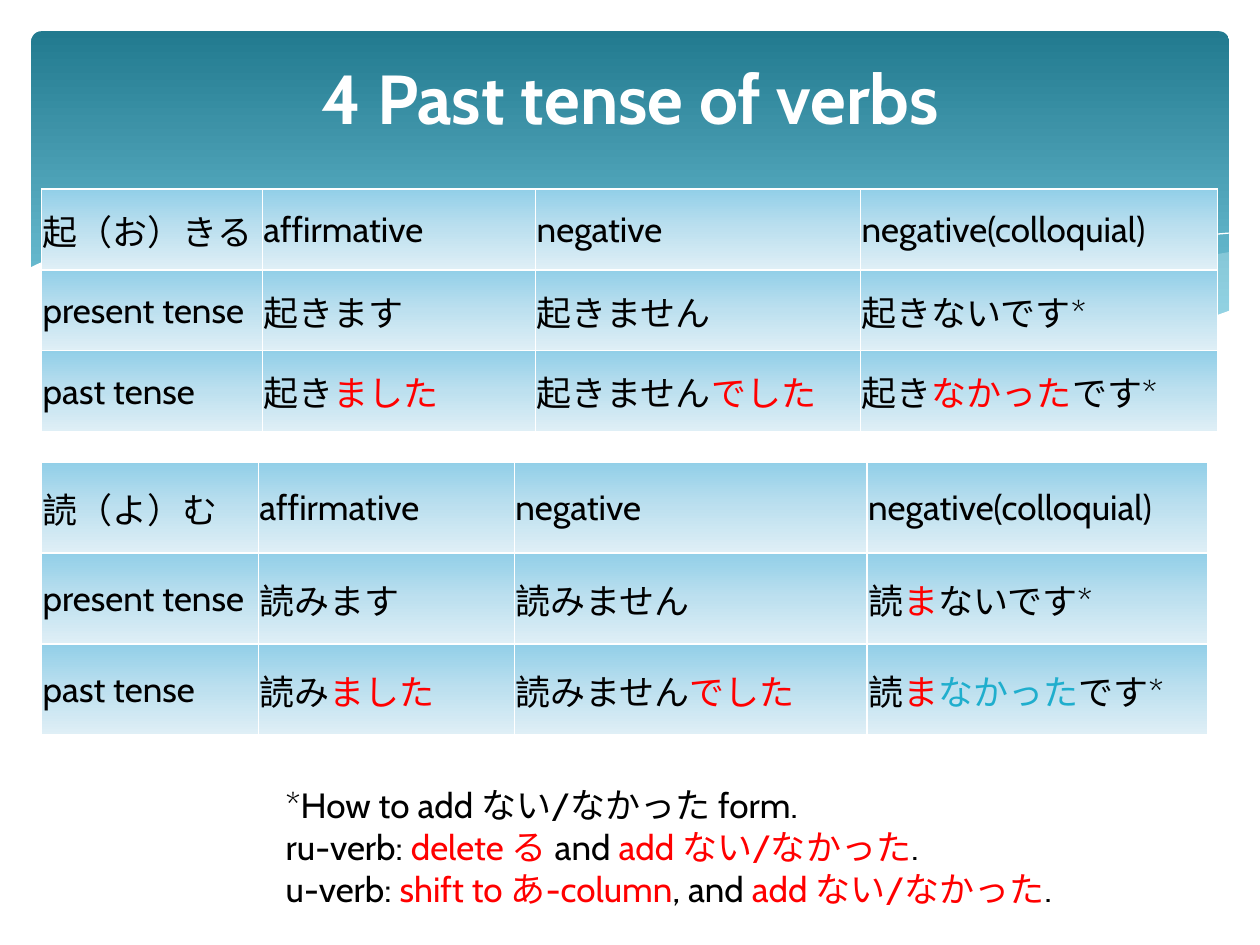
import pptx
import pptx.dml.color
import pptx.enum.shapes
import pptx.enum.text
import pptx.oxml
import pptx.oxml.ns
import pptx.util
from lxml import etree

Cm, Pt = pptx.util.Cm, pptx.util.Pt
qn = pptx.oxml.ns.qn
FONT = "Cabin"
BLACK, WHITE, RED, BLUE, HAZE = "000000", "FFFFFF", "FF0000", "1FAECD", "DEF5FA"
SKY = [(0, "227A8F"), (90, "7ACBE0")]
ICE = [(0, "92CFE8"), (50, "BDE0EF"), (100, "DFEFF6")]

TITLE = "4 Past tense of verbs"
HEADS = ["affirmative", "negative", "negative(colloquial)"]
GRIDS = [
    {"top": 3.81, "row": 1.63, "cols": [4.45, 5.51, 6.55, 7.19], "rows": [
        ["起（お）きる", *HEADS],
        ["present tense", "起きます", "起きません", "起きないです*"],
        ["past tense",
         ["起き", ("ました", RED)],
         ["起きません", ("でした", RED)],
         ["起き", ("なかった", RED), "です*"]]]},
    {"top": 9.32, "row": 1.83, "cols": [4.37, 5.16, 7.11, 6.86], "rows": [
        ["読（よ）む", *HEADS],
        ["present tense", "読みます", "読みません",
         ["読", ("ま", RED), "ないです*"]],
        ["past tense",
         ["読み", ("ました", RED)],
         ["読みません", ("でした", RED)],
         ["読", ("ま", RED), ("なかった", BLUE), "です*"]]]},
]
NOTES = [
    "*How to add ない/なかった form.",
    ["ru-verb: ", ("delete る", RED), " and ", ("add ない/なかった", RED), "."],
    ["u-verb: ", ("shift to あ-column", RED), ", and ",
     ("add ない/なかった", RED), "."],
]

TAIL = [(2479, 508), (2375, 526), (2263, 549), (2113, 584), (1979, 615),
        (1793, 653), (1679, 673), (1791, 688), (1923, 701), (2040, 706),
        (2169, 701), (2278, 686), (2375, 665), (2479, 627)]
SWELL = [(2268, 693), (2126, 673), (1969, 645), (1793, 610), (1598, 564),
         (1445, 528), (1306, 503), (1181, 485), (1067, 475), (965, 470),
         (874, 472), (795, 478), (726, 485), (869, 505), (1026, 536),
         (1140, 564), (1346, 610), (1527, 648), (1689, 676), (1834, 696),
         (1963, 704), (2078, 706), (2177, 704)]
FALL = [(785, 495), (833, 488), (922, 480), (1019, 475), (1143, 478),
        (1295, 488), (1478, 508), (1689, 541), (1847, 574), (2019, 612),
        (2207, 663), (2304, 691)]
RISE = [(1557, 653), (1659, 625), (1829, 582), (1971, 549), (2123, 518),
        (2273, 493), (2383, 478), (2477, 470)]
SHORE = [(2482, 625), (2413, 650), (2337, 673), (2253, 688), (2159, 699),
         (2055, 704), (1933, 699), (1798, 686), (1646, 665), (1471, 635),
         (1278, 592), (1135, 559), (993, 526), (864, 500), (742, 483),
         (635, 472), (536, 467), (409, 467), (302, 475), (216, 490),
         (150, 505), (102, 521), (74, 533), (58, 541), (58, 836), (2482, 836)]
WAVES = [(TAIL, HAZE, 29), (SWELL, HAZE, 40), (FALL, None, 0),
         (RISE, None, 0), (SHORE, WHITE, 100)]


def rgb(code):
    return pptx.dml.color.RGBColor.from_string(code)


def blend(fill, root, stops):
    fill.gradient()
    fill.gradient_angle = 270
    band = root.find(".//" + qn("a:gsLst"))
    for old in list(band):
        band.remove(old)
    for pos, code in stops:
        stop = etree.SubElement(band, qn("a:gs"), pos=str(pos * 1000))
        etree.SubElement(stop, qn("a:srgbClr"), val=code)


def write(para, parts, size=20, code=BLACK, bold=False):
    for part in [parts] if isinstance(parts, str) else parts:
        text, tint = (part, code) if isinstance(part, str) else part
        run = para.add_run()
        run.text = text
        run.font.name = FONT
        run.font.size = Pt(size)
        run.font.bold = bold
        run.font.color.rgb = rgb(tint)


def wave(shapes, dots, code, alpha):
    pen = shapes.build_freeform(*dots[0], scale=Cm(0.01))
    pen.add_line_segments(dots[1:], close=code is not None)
    shape = pen.convert_to_shape()
    shape.shadow.inherit = False
    if code is None:
        shape.fill.background()
        shape.line.color.rgb = rgb(WHITE)
        shape.line.width = Pt(0)
        return
    shape.line.fill.background()
    shape.fill.solid()
    shape.fill.fore_color.rgb = rgb(code)
    if alpha < 100:
        tint = shape.element.spPr.find(".//" + qn("a:srgbClr"))
        etree.SubElement(tint, qn("a:alpha"), val=str(alpha * 1000))


def edge(cell):
    props = cell._tc.get_or_add_tcPr()
    for i, side in enumerate(("lnL", "lnR", "lnT", "lnB")):
        line = etree.Element(qn("a:" + side), w=str(Pt(1)))
        fill = etree.SubElement(line, qn("a:solidFill"))
        etree.SubElement(fill, qn("a:srgbClr"), val=WHITE)
        props.insert(i, line)


def grid(shapes, top, row, cols, rows):
    table = shapes.add_table(len(rows), len(cols), Cm(0.84), Cm(top),
                             Cm(sum(cols)), Cm(row * len(rows))).table
    table.first_row = table.horz_banding = False
    for col, wide in zip(table.columns, cols):
        col.width = Cm(wide)
    for line, items in zip(table.rows, rows):
        line.height = Cm(row)
        for cell, parts in zip(line.cells, items):
            cell.margin_left = cell.margin_right = cell.margin_top = Cm(0.02)
            cell.margin_bottom = 0
            cell.vertical_anchor = pptx.enum.text.MSO_ANCHOR.MIDDLE
            blend(cell.fill, cell._tc, ICE)
            edge(cell)
            write(cell.text_frame.paragraphs[0], parts)


def main():
    deck = pptx.Presentation()
    deck.slide_width, deck.slide_height = Cm(25.4), Cm(19.05)
    slide = deck.slides.add_slide(deck.slide_layouts[5])
    shapes = slide.shapes

    panel = shapes.add_shape(pptx.enum.shapes.MSO_SHAPE.ROUNDED_RECTANGLE,
                             Cm(0.63), Cm(0.63), Cm(24.15), Cm(6.86))
    panel.adjustments[0] = 0.03
    panel.shadow.inherit = False
    panel.line.fill.background()
    blend(panel.fill, panel.element, SKY)
    for item in WAVES:
        wave(shapes, *item)

    title = shapes.title
    title.left, title.top = Cm(1.27), Cm(0.94)
    title.width, title.height = Cm(22.86), Cm(2.03)
    frame = title.text_frame
    frame.auto_size = pptx.enum.text.MSO_AUTO_SIZE.NONE
    frame.vertical_anchor = pptx.enum.text.MSO_ANCHOR.MIDDLE
    frame.paragraphs[0].alignment = pptx.enum.text.PP_ALIGN.CENTER
    write(frame.paragraphs[0], TITLE, 39.6, WHITE, True)
    panel.element.getparent().append(title.element)

    for item in GRIDS:
        grid(shapes, **item)

    frame = shapes.add_textbox(Cm(5.51), Cm(15.67), Cm(15.88), Cm(2.82)).text_frame
    frame.word_wrap = True
    for i, parts in enumerate(NOTES):
        write(frame.add_paragraph() if i else frame.paragraphs[0], parts)

    deck.save("out.pptx")


if __name__ == "__main__":
    main()
